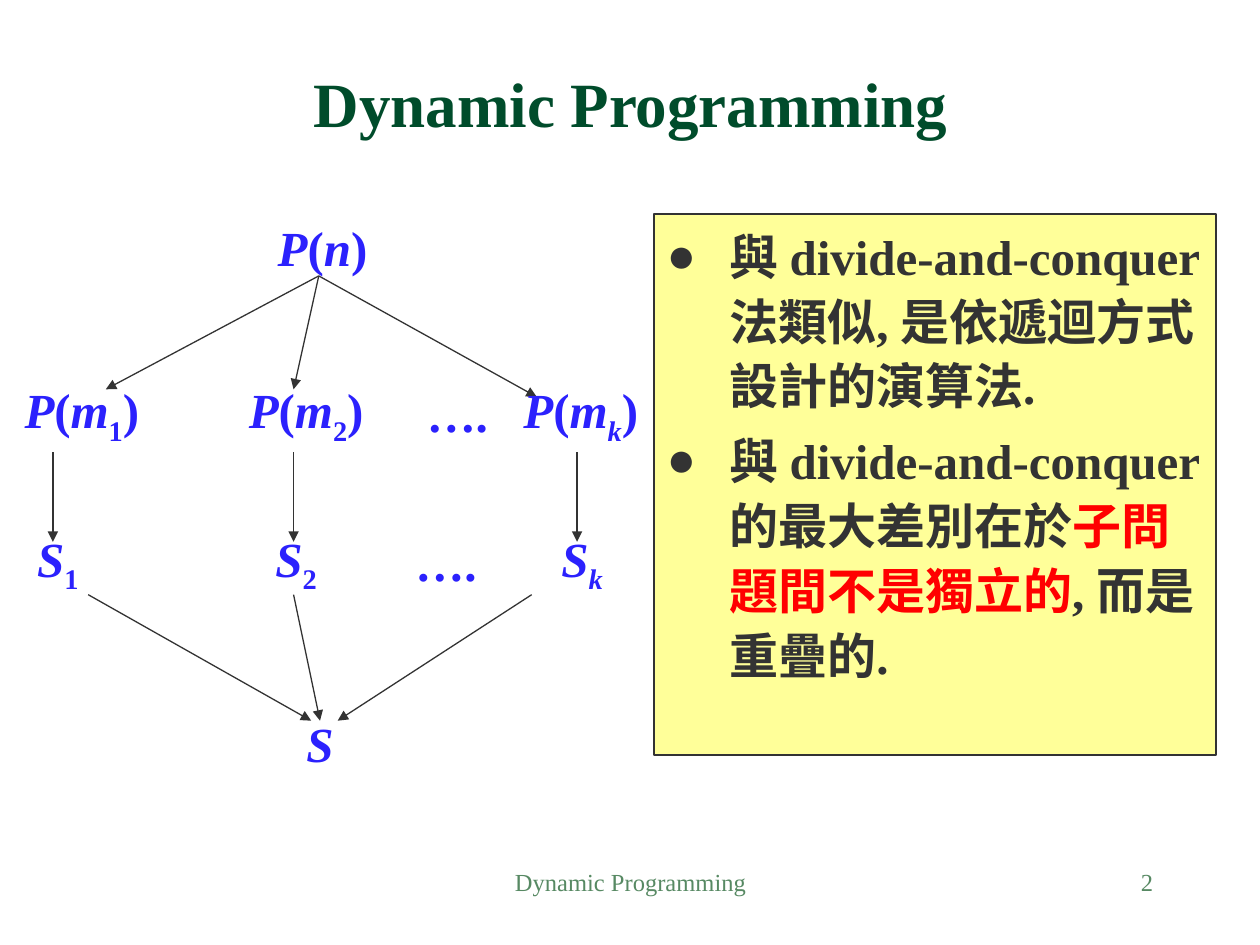
from dataclasses import dataclass
from itertools import groupby
from typing import NamedTuple

from lxml.etree import SubElement
from pptx import Presentation
from pptx.dml.color import RGBColor as Color
from pptx.enum.shapes import MSO_CONNECTOR as Connector
from pptx.enum.text import MSO_ANCHOR as Anchor, MSO_AUTO_SIZE as AutoSize, PP_ALIGN as Align
from pptx.oxml.ns import qn
from pptx.util import Inches, Pt


@dataclass(frozen=True)
class Theme:
    font: str = "Times New Roman"
    title: str = "004C2B"
    ink: str = "333333"
    label: str = "2B21FD"
    accent: str = "FF0000"
    panel: str = "FFFF99"
    footer: str = "578963"
    title_size: int = 36
    text_size: int = 28
    footer_size: int = 14


class Label(NamedTuple):
    text: str  # letters are italic, "_" lowers the next character
    x: float
    y: float


class Arrow(NamedTuple):
    start: tuple[float, float]
    end: tuple[float, float]


class Footer(NamedTuple):
    text: str
    left: float
    width: float
    align: Align


THEME = Theme()

# Levels of the tree: text centres, and heights where arrows leave and arrive
ROOT_Y, PROBLEM_Y, SOLUTION_Y, MERGED_Y = 1.96, 3.28, 4.46, 5.9
ROOT_FOOT, PROBLEM_TOP, PROBLEM_FOOT = 2.19, 3.09, 3.59
SOLUTION_TOP, SOLUTION_FOOT, MERGED_TOP = 4.3, 4.72, 5.72
ROOT_X = 2.53
COLUMNS = (0.42, 2.33, 4.58)  # first, second and k-th subproblem

LABELS = (
    Label("P(n)", 2.56, ROOT_Y),
    Label("P(m_1)", 0.65, PROBLEM_Y),
    Label("P(m_2)", 2.43, PROBLEM_Y),
    Label("….", 3.63, PROBLEM_Y),
    Label("P(m_k)", 4.61, PROBLEM_Y),
    Label("S_1", 0.46, SOLUTION_Y),
    Label("S_2", 2.35, SOLUTION_Y),
    Label("….", 3.54, SOLUTION_Y),
    Label("S_k", 4.62, SOLUTION_Y),
    Label("S", 2.54, MERGED_Y),
)

ARROWS = (
    # Divide
    *(Arrow((ROOT_X, ROOT_FOOT), end)
      for end in ((0.84, PROBLEM_TOP), (COLUMNS[1], PROBLEM_TOP), (4.26, 3.15))),
    # Solve
    *(Arrow((x, PROBLEM_FOOT), (x, SOLUTION_TOP)) for x in COLUMNS),
    # Merge
    *(Arrow((start, SOLUTION_FOOT), (end, MERGED_TOP))
      for start, end in ((0.7, 2.47), (COLUMNS[1], 2.54), (4.22, 2.68))),
)

# Each point is a list of (text, colour) spans
POINTS = (
    (("與 divide-and-conquer 法類似, 是依遞迴方式設計的演算法.", THEME.ink),),
    (("與 divide-and-conquer的最大差別在於", THEME.ink),
     ("子問題間不是獨立的", THEME.accent),
     (", 而是重疊的.", THEME.ink)),
)

FOOTERS = (
    Footer("Dynamic Programming", 3.42, 3.17, Align.CENTER),
    Footer("2", 7.17, 2.08, Align.RIGHT),
)


def style(span, size: int, color: str, bold: bool = True, italic: bool = False) -> None:
    font = span.font
    font.name, font.size = THEME.font, Pt(size)
    font.bold, font.italic = bold, italic
    font.color.rgb = Color.from_string(color)


def place(shape, left: float, top: float, width: float, height: float) -> None:
    shape.left, shape.top = Inches(left), Inches(top)
    shape.width, shape.height = Inches(width), Inches(height)


def add_bullet(para) -> None:
    props = para._p.get_or_add_pPr()
    props.set("marL", str(Inches(0.5)))
    props.set("indent", str(-Inches(0.5)))
    SubElement(SubElement(props, qn("a:buClr")), qn("a:srgbClr"), val=THEME.ink)
    SubElement(props, qn("a:buFont"), typeface=THEME.font)
    SubElement(props, qn("a:buChar"), char="●")


def fill_title(title) -> None:
    place(title, 0.67, 0.58, 8.67, 0.58)
    frame = title.text_frame
    frame.text = "Dynamic Programming"
    frame.auto_size, frame.vertical_anchor = AutoSize.NONE, Anchor.BOTTOM
    frame.paragraphs[0].alignment = Align.CENTER
    style(frame.paragraphs[0].runs[0], THEME.title_size, THEME.title)


def fill_body(body) -> None:
    place(body, 5.19, 1.7, 4.46, 4.29)
    body.fill.solid()
    body.fill.fore_color.rgb = Color.from_string(THEME.panel)
    body.line.color.rgb = Color.from_string(THEME.ink)
    body.line.width = Pt(1)
    frame = body.text_frame
    frame.auto_size, frame.vertical_anchor = AutoSize.NONE, Anchor.TOP
    for index, point in enumerate(POINTS):
        para = frame.add_paragraph() if index else frame.paragraphs[0]
        para.line_spacing = 1.1
        para.space_before = Pt(6 if index else 0)
        add_bullet(para)
        for text, color in point:
            span = para.add_run()
            span.text = text
            style(span, THEME.text_size, color)


def draw_arrow(page, arrow: Arrow) -> None:
    line = page.shapes.add_connector(
        Connector.STRAIGHT, *(Inches(value) for value in arrow.start + arrow.end))
    line.line.color.rgb = Color.from_string(THEME.ink)
    line.line.width = Pt(0.75)
    SubElement(line.line._get_or_add_ln(), qn("a:tailEnd"), type="triangle")
    SubElement(line._element.spPr, qn("a:effectLst"))


def draw_label(page, label: Label) -> None:
    width, height = 1.2, 0.6
    box = page.shapes.add_textbox(
        Inches(label.x - width / 2), Inches(label.y - height / 2),
        Inches(width), Inches(height))
    frame = box.text_frame
    frame.word_wrap, frame.vertical_anchor = False, Anchor.MIDDLE
    para = frame.paragraphs[0]
    para.alignment = Align.CENTER
    # Pair each character with (italic, lowered), then join equal neighbours
    marked = [(char, (char.isalpha(), before == "_"))
              for before, char in zip(" " + label.text, label.text) if char != "_"]
    for (italic, lowered), group in groupby(marked, key=lambda pair: pair[1]):
        span = para.add_run()
        span.text = "".join(char for char, _ in group)
        style(span, THEME.text_size, THEME.label, italic=italic)
        if lowered:
            span._r.get_or_add_rPr().set("baseline", "-25000")


def draw_footer(page, footer: Footer) -> None:
    box = page.shapes.add_textbox(
        Inches(footer.left), Inches(6.83), Inches(footer.width), Inches(0.5))
    frame = box.text_frame
    frame.word_wrap = True
    frame.text = footer.text
    frame.paragraphs[0].alignment = footer.align
    style(frame.paragraphs[0].runs[0], THEME.footer_size, THEME.footer, bold=False)


def main() -> None:
    deck = Presentation()
    deck.slide_width, deck.slide_height = Inches(10), Inches(7.5)
    page = deck.slides.add_slide(deck.slide_layouts[1])

    # Title and list
    fill_title(page.shapes.title)
    fill_body(page.placeholders[1])

    # Tree of problems and solutions
    for arrow in ARROWS:
        draw_arrow(page, arrow)
    for label in LABELS:
        draw_label(page, label)

    # Footer
    for footer in FOOTERS:
        draw_footer(page, footer)

    deck.save("out.pptx")


if __name__ == "__main__":
    main()
